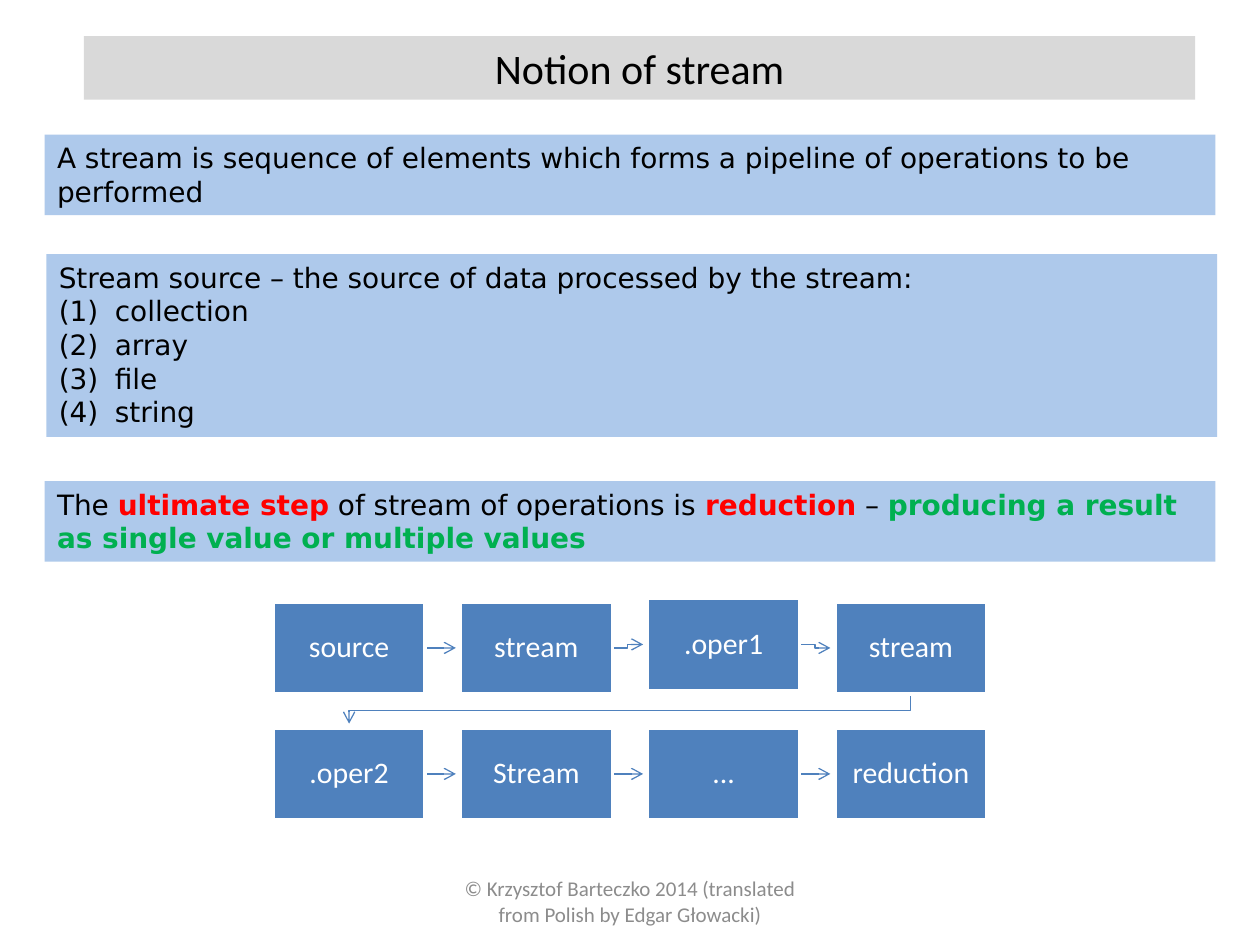
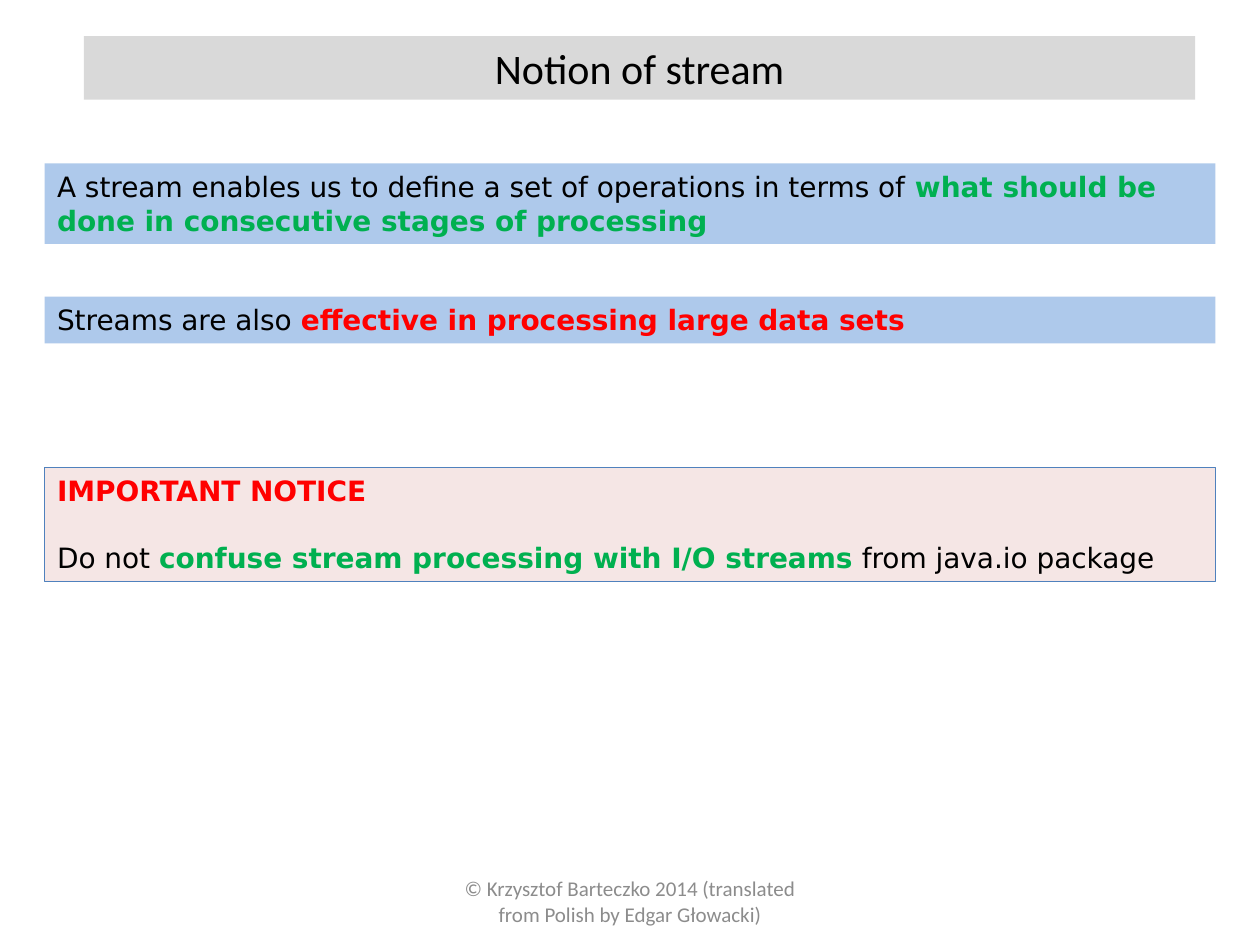
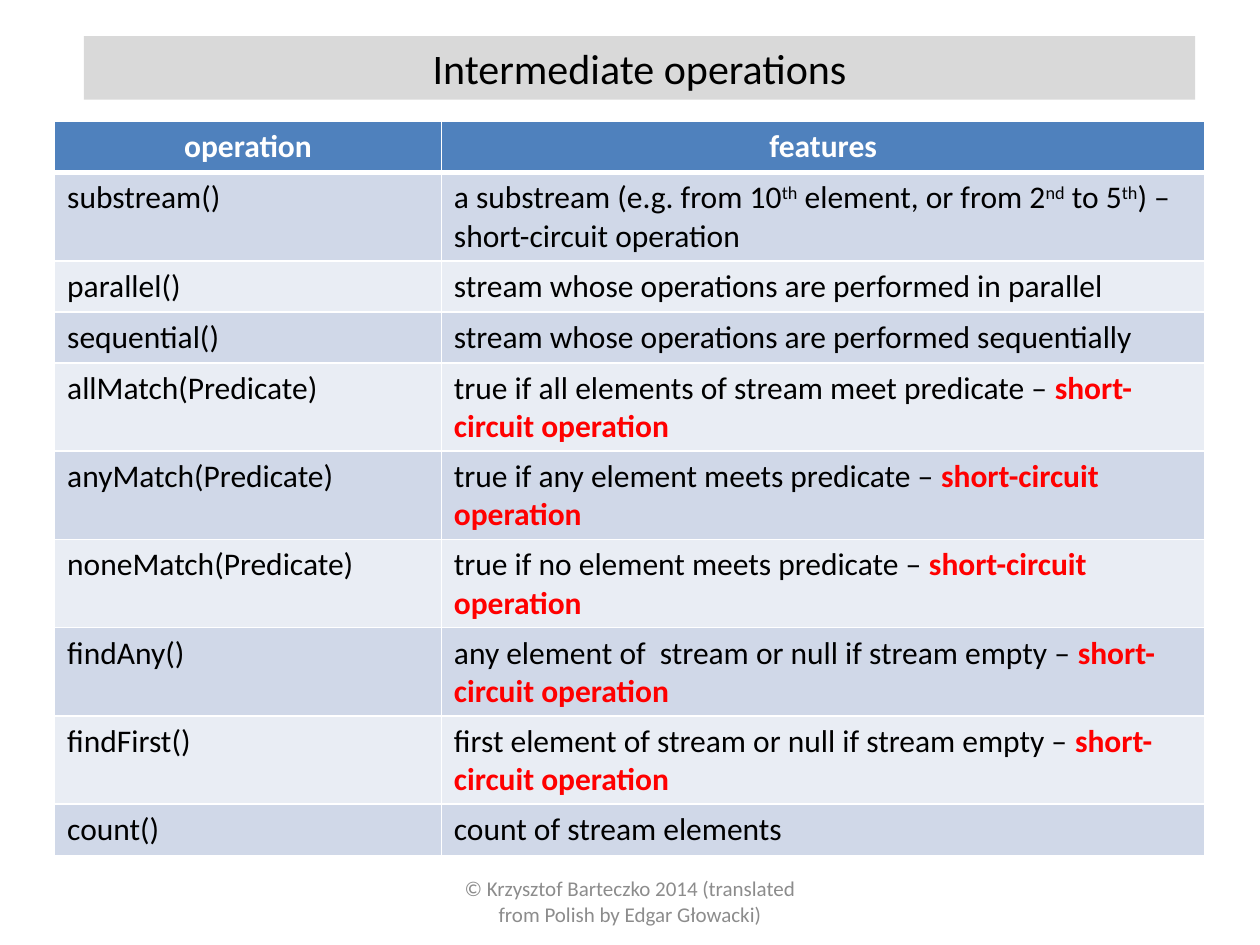
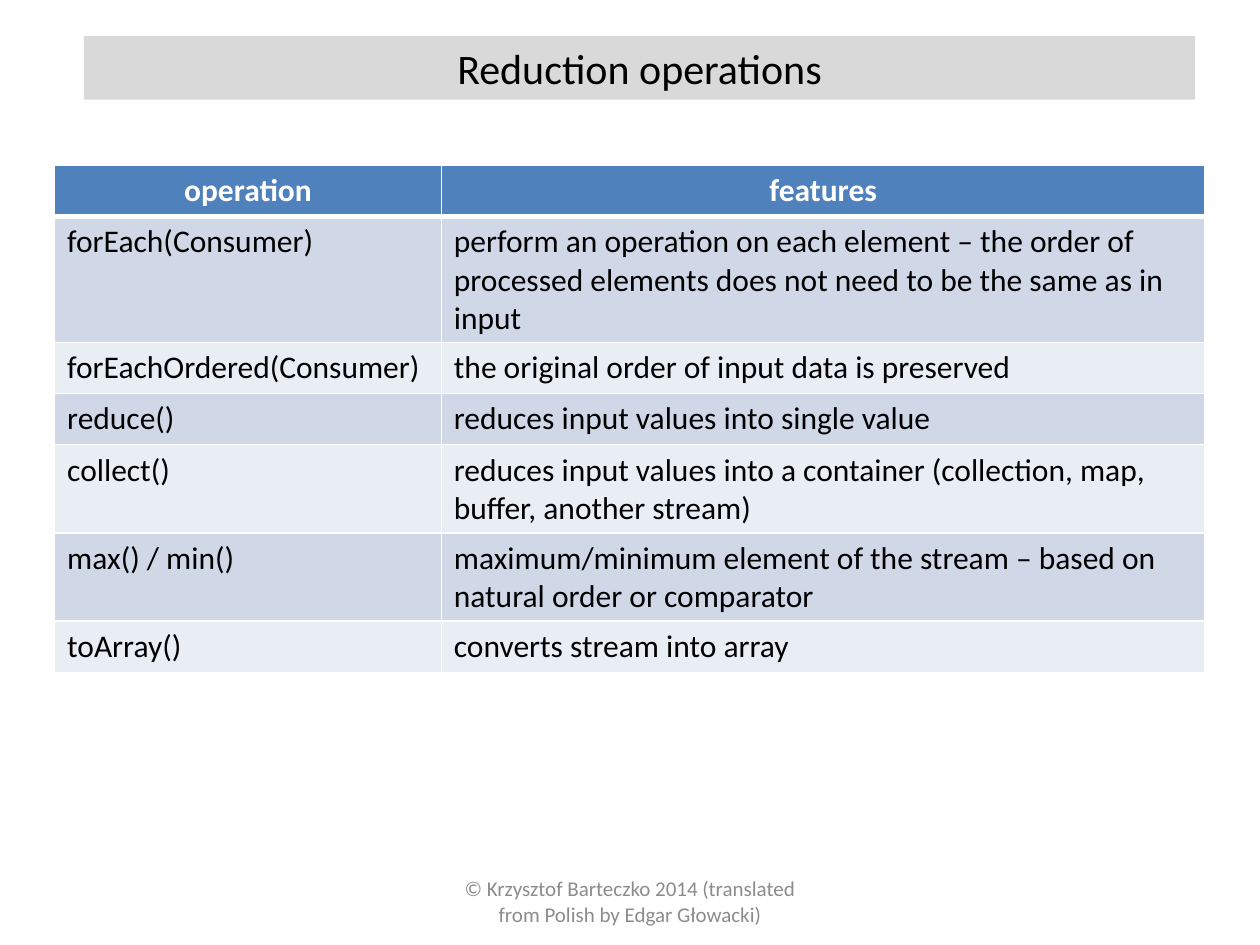
"""Builds four slides on streams: notion, intermediate and reduction operations."""
from lxml.etree import SubElement as Sub
from pptx import Presentation
from pptx.dml.color import RGBColor
from pptx.enum.shapes import MSO_CONNECTOR as Link, MSO_SHAPE as Form
from pptx.enum.text import MSO_ANCHOR as Anchor, MSO_AUTO_SIZE as Fit, PP_ALIGN as Align
from pptx.oxml.ns import qn
from pptx.util import Pt

BLUE, SKY, PINK, GREY = "4F81BD", "8EB4E3", "F2DCDB", "D9D9D9"
WHITE, BLACK, RED, GREEN, DIM = "FFFFFF", "000000", "FF0000", "00B050", "8C8C8C"
STRIPES = ["D0D8E8", "E9EDF4"]
SANS, WIDE = "Calibri", "DejaVu Sans"
FOOT = "© Krzysztof Barteczko 2014 (translated from Polish by Edgar Głowacki)"
LEFT, SPAN = 25.5, 669
SHORT = ("short-circuit operation", RED)
UP = "super"

BANDS = [
    (LEFT, 77, 46, [["A stream is sequence of elements which forms a pipeline of operations to be performed"]]),
    (LEFT + 1, 145.2, 104.5, [
        ["Stream source – the source of data processed by the stream:"],
        [" collection"], [" array"], [" file"], [" string"]]),
    (LEFT, 275, 46, [[
        "The ", ("ultimate step", RED), " of stream of operations is ", ("reduction", RED), " – ",
        ("producing a result as single value or multiple values", GREEN)]]),
]
STEPS = [["source", "stream", ".oper1", "stream"], [".oper2", "Stream", "...", "reduction"]]
USES = [
    (LEFT, 93.4, 46, [["A stream enables us to define a set of operations in terms of ",
                       ("what should be done in consecutive stages of processing", GREEN)]]),
    (LEFT, 169.6, 26.7, [["Streams are also ", ("effective in processing large data sets", RED)]]),
]
NOTICE = (LEFT, 267, 65.4, [
    [("IMPORTANT NOTICE", RED)],
    ["Do not ", ("confuse stream processing with I/O streams", GREEN), " from java.io package"]])
MIDDLE = [
    ("substream()", ["a substream (e.g. from 10", ("th", UP), " element, or from 2", ("nd", UP),
                     " to 5", ("th", UP), ") – short-circuit operation"]),
    ("parallel()", ["stream whose operations are performed in parallel"]),
    ("sequential()", ["stream whose operations are performed sequentially"]),
    ("allMatch(Predicate)", ["true if all elements of stream meet predicate – ", SHORT]),
    ("anyMatch(Predicate)", ["true if any element meets predicate – ", SHORT]),
    ("noneMatch(Predicate)", ["true if no element meets predicate – ", SHORT]),
    ("findAny()", ["any element of  stream or null if stream empty – ", SHORT]),
    ("findFirst()", ["first element of stream or null if stream empty – ", SHORT]),
    ("count()", ["count of stream elements"]),
]
FINAL = [
    ("forEach(Consumer)", ["perform an operation on each element – the order of processed "
                           "elements does not need to be the same as in input"]),
    ("forEachOrdered(Consumer)", ["the original order of input data is preserved"]),
    ("reduce()", ["reduces input values into single value"]),
    ("collect()", ["reduces input values into a container (collection, map, buffer, another stream)"]),
    ("max() / min()", ["maximum/minimum element of the stream – based on natural order or comparator"]),
    ("toArray()", ["converts stream into array"]),
]


def paint(fill, tone):
    fill.solid()
    fill.fore_color.rgb = RGBColor.from_string(tone)


def write(para, runs, size, face=SANS, tone=BLACK, bold=False, align=Align.LEFT):
    para.alignment = align
    for item in runs:
        text, mark = item if isinstance(item, tuple) else (item, None)
        run = para.add_run()
        run.text = text
        font = run.font
        font.size, font.name = Pt(size), face
        lit = mark in (RED, GREEN)
        font.bold = bold or lit
        font.color.rgb = RGBColor.from_string(mark if lit else tone)
        if mark == UP:
            run._r.get_or_add_rPr().set("baseline", "30000")


def block(slide, x, y, w, h, tone, edge=None, thick=0.75, clear=False):
    shape = slide.shapes.add_shape(Form.RECTANGLE, Pt(x), Pt(y), Pt(w), Pt(h))
    shape.shadow.inherit = False
    paint(shape.fill, tone)
    if clear:
        Sub(shape.element.find(".//" + qn("a:srgbClr")), qn("a:alpha"), val="71000")
    if edge:
        paint(shape.line.fill, edge)
        shape.line.width = Pt(thick)
    else:
        shape.line.fill.background()
    frame = shape.text_frame
    frame.word_wrap = True
    frame.vertical_anchor = Anchor.TOP
    return frame


def band(slide, x, y, h, paras, tone=SKY, edge=None):
    frame = block(slide, x, y, SPAN, h, tone, edge, clear=True)
    frame.auto_size = Fit.SHAPE_TO_FIT_TEXT
    for i, runs in enumerate(paras):
        para = frame.add_paragraph() if i else frame.paragraphs[0]
        write(para, runs, 16, WIDE)
    return frame.paragraphs


def arrow(slide, *spots):
    pts = [(Pt(x), Pt(y)) for x, y in spots]
    if len(pts) == 2:
        line = slide.shapes.add_connector(Link.STRAIGHT, *pts[0], *pts[1])
    else:
        pen = slide.shapes.build_freeform(*pts[0])
        pen.add_line_segments(pts[1:], close=False)
        line = pen.convert_to_shape()
        line.fill.background()
    paint(line.line.fill, BLUE)
    line.line.width = Pt(0.75)
    Sub(line.element.find(".//" + qn("a:ln")), qn("a:tailEnd"), type="arrow")
    Sub(line.element.spPr, qn("a:effectLst"))


def flow(slide, rows, left=156, top=344, w=87, h=52.5, step=107, drop=72, lift=2):
    spots = [[(left + c * step, top + r * drop - (lift if name == ".oper1" else 0))
              for c, name in enumerate(row)] for r, row in enumerate(rows)]
    for line in spots:
        for (x, y), (far, low) in zip(line, line[1:]):
            tip, mid = far - 2.5, (x + w + far - 2.5) / 2
            start, end = (x + w, y + h / 2), (tip, low + h / 2)
            bend = [] if y == low else [(mid, start[1]), (mid, end[1])]
            arrow(slide, start, *bend, end)
    (x, y), (far, low) = spots[0][-1], spots[1][0]
    x, far, bend = x + w / 2, far + w / 2, y + h + 9.6
    arrow(slide, (x, y + h), (x, bend), (far, bend), (far, low - 2.5))
    for row, line in zip(rows, spots):
        for name, (x, y) in zip(row, line):
            frame = block(slide, x, y, w, h, BLUE, WHITE, 2)
            frame.vertical_anchor = Anchor.MIDDLE
            frame.margin_left = frame.margin_right = Pt(9)
            write(frame.paragraphs[0], [name], 17, tone=WHITE, align=Align.CENTER)
            frame.paragraphs[0].line_spacing = 0.9


def rule(cell, side, width):
    line = Sub(cell._tc.get_or_add_tcPr(), qn("a:ln" + side), w=str(Pt(width)))
    Sub(Sub(line, qn("a:solidFill")), qn("a:srgbClr"), val=WHITE)


def grid(slide, top, rows, cols=(221, 436.4), high=29.2):
    rows = [("operation", ["features"])] + rows
    table = slide.shapes.add_table(len(rows), 2, Pt(31.2), Pt(top), Pt(sum(cols)),
                                   Pt(high * len(rows))).table
    for col, wide in zip(table.columns, cols):
        col.width = Pt(wide)
    for r, (name, runs) in enumerate(rows):
        table.rows[r].height = Pt(high)
        for cell, text in zip(table.rows[r].cells, ([name], runs)):
            for side in "LRTB":
                rule(cell, side, 3 if (r, side) in ((0, "B"), (1, "T")) else 1)
            paint(cell.fill, STRIPES[(r - 1) % 2] if r else BLUE)
            look = {} if r else dict(tone=WHITE, bold=True, align=Align.CENTER)
            write(cell.text_frame.paragraphs[0], text, 18, **look)


def page(deck, title):
    slide = deck.slides.add_slide(deck.slide_layouts[6])
    foot = slide.shapes.add_textbox(Pt(246), Pt(500.5), Pt(228), Pt(28.8)).text_frame
    foot.word_wrap = True
    foot.vertical_anchor = Anchor.MIDDLE
    write(foot.paragraphs[0], [FOOT], 12, tone=DIM, align=Align.CENTER)
    head = block(slide, 48, 20.7, 635, 36.3, GREY)
    head.auto_size = Fit.SHAPE_TO_FIT_TEXT
    write(head.paragraphs[0], [title], 24, align=Align.CENTER)
    return slide


deck = Presentation()
deck.slide_width, deck.slide_height = Pt(720), Pt(540)

slide = page(deck, "Notion of stream")
for item in BANDS:
    for para in band(slide, *item)[1:]:
        props = para._p.get_or_add_pPr()
        props.set("marL", str(Pt(27)))
        props.set("indent", str(-Pt(27)))
        Sub(props, qn("a:buFont"), typeface="+mj-lt")
        Sub(props, qn("a:buAutoNum"), type="arabicParenBoth")
flow(slide, STEPS)

slide = page(deck, "Notion of stream")
for item in USES:
    band(slide, *item)
band(slide, *NOTICE, PINK, BLUE)[1].space_before = Pt(19)

grid(page(deck, "Intermediate operations"), 69.4, MIDDLE)
grid(page(deck, "Reduction operations"), 94.5, FINAL)
deck.save("out.pptx")
